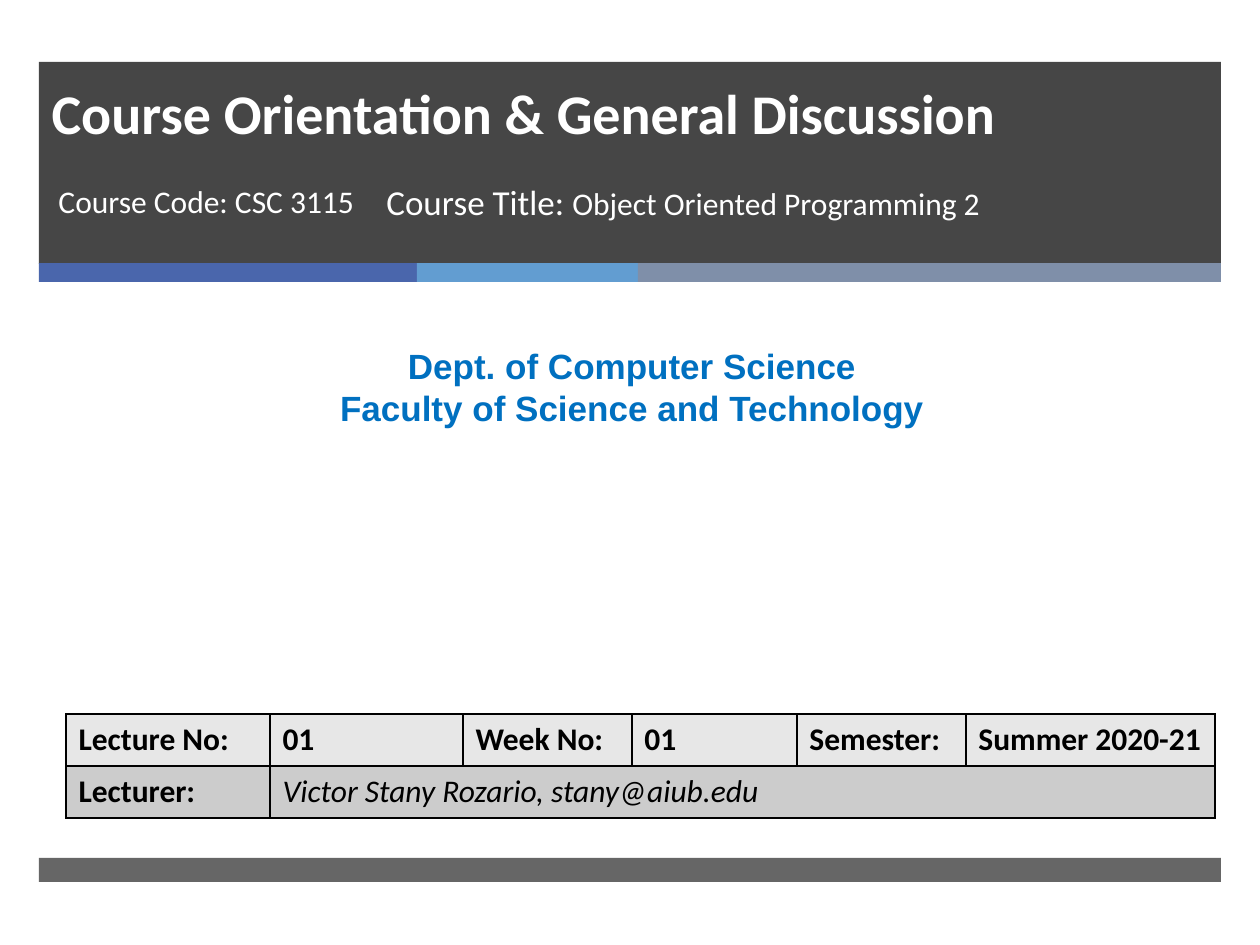
from dataclasses import dataclass

from lxml import etree
from pptx import Presentation
from pptx.dml.color import RGBColor as RGB
from pptx.enum.shapes import MSO_SHAPE as Shape
from pptx.enum.text import MSO_ANCHOR as Anchor, MSO_AUTO_SIZE as Fit, PP_ALIGN as Align
from pptx.oxml.ns import qn
from pptx.util import Emu, Pt


@dataclass(frozen=True)
class Theme:
    dark: str = "262626"
    blue: str = "4A66AC"
    sky: str = "629DD1"
    slate: str = "7F8FA9"
    white: str = "FFFFFF"
    black: str = "000000"
    dept: str = "0070C0"
    light: str = "E7E7E7"
    grey: str = "CCCCCC"
    body: str = "Calibri"
    sans: str = "Arial"
    head: int = 32
    large: int = 20
    text: int = 18


T = Theme()
SCALE = 914400 / 126


def px(*vals):
    return [Emu(round(v * SCALE)) for v in vals]


def add_run(para, text, size, color, bold=False, italic=False, face=T.body):
    run = para.add_run()
    run.text = text
    font = run.font
    font.name, font.size = face, Pt(size)
    font.bold, font.italic = bold, italic
    font.color.rgb = RGB.from_string(color)


deck = Presentation()
deck.slide_width, deck.slide_height = px(1260, 945)
slide = deck.slides.add_slide(deck.slide_layouts[5])
shapes = slide.shapes
title = shapes.title

# Header block, colour strip and footer bar: box, colour, opacity in percent
bars = [
    ((39, 62, 1182, 202), T.dark, 85),
    ((39, 263, 378, 19), T.blue, 100),
    ((417, 263, 221, 19), T.sky, 100),
    ((638, 263, 583, 19), T.slate, 100),
    ((39, 858, 1182, 24), T.dark, 70),
]
for box, color, alpha in bars:
    bar = shapes.add_shape(Shape.RECTANGLE, *px(*box))
    bar.shadow.inherit = False
    bar.line.fill.background()
    bar.fill.solid()
    bar.fill.fore_color.rgb = RGB.from_string(color)
    if alpha < 100:
        tint = bar._element.spPr.find(".//" + qn("a:srgbClr"))
        etree.SubElement(tint, qn("a:alpha"), val=str(alpha * 1000))

# Title, brought in front of the header block
shapes._spTree.append(title._element)
title.left, title.top, title.width, title.height = px(39, 82, 1095, 70)
frame = title.text_frame
frame.auto_size = Fit.NONE
frame.word_wrap = True
frame.vertical_anchor = Anchor.BOTTOM
para = frame.paragraphs[0]
para.alignment = Align.LEFT
add_run(para, "Course Orientation & General Discussion", T.head, T.white, bold=True)

# Course and department lines: box, alignment, face, bold, colour, paragraphs of runs
notes = [
    ((39, 176, 335, 97), Align.LEFT, T.body, False, T.white,
     [[(" Course Code: CSC 3115", T.text)]]),
    ((374, 174, 658, 97), Align.LEFT, T.body, False, T.white,
     [[("Course Title: ", T.large), ("Object Oriented Programming 2", T.text)]]),
    ((10, 338, 1244, 97), Align.CENTER, T.sans, True, T.dept,
     [[("Dept. of Computer Science", T.large)],
      [("Faculty of Science and Technology", T.large)]]),
]
for box, align, face, bold, color, lines in notes:
    frame = shapes.add_textbox(*px(*box)).text_frame
    frame.word_wrap = True
    for i, line in enumerate(lines):
        para = frame.add_paragraph() if i else frame.paragraphs[0]
        para.alignment = align
        for text, size in line:
            add_run(para, text, size, color, bold, face=face)

# Lecture table
rows = [
    ["Lecture No:", "01", "Week No:", "01", "Semester:", "Summer 2020-21"],
    ["Lecturer:", "Victor Stany Rozario, stany@aiub.edu"],
]
widths = [204, 193, 169, 165, 169, 249]
table = shapes.add_table(2, 6, *px(66, 714, sum(widths), 104)).table
for col, width in zip(table.columns, px(*widths)):
    col.width = width
for r, fill in enumerate([T.light, T.grey]):
    for c in range(6):
        cell = table.cell(r, c)
        props = cell._tc.get_or_add_tcPr()
        for side in ("lnL", "lnR", "lnT", "lnB"):
            edge = etree.SubElement(props, qn("a:" + side), w=str(Pt(1)))
            paint = etree.SubElement(edge, qn("a:solidFill"))
            etree.SubElement(paint, qn("a:srgbClr"), val=T.black)
        cell.fill.solid()
        cell.fill.fore_color.rgb = RGB.from_string(fill)
        if c < len(rows[r]):
            name = (r, c) == (1, 1)
            add_run(cell.text_frame.paragraphs[0], rows[r][c], T.text, T.black,
                    bold=not name, italic=name)
table.cell(1, 1).merge(table.cell(1, 5))

deck.save("out.pptx")
